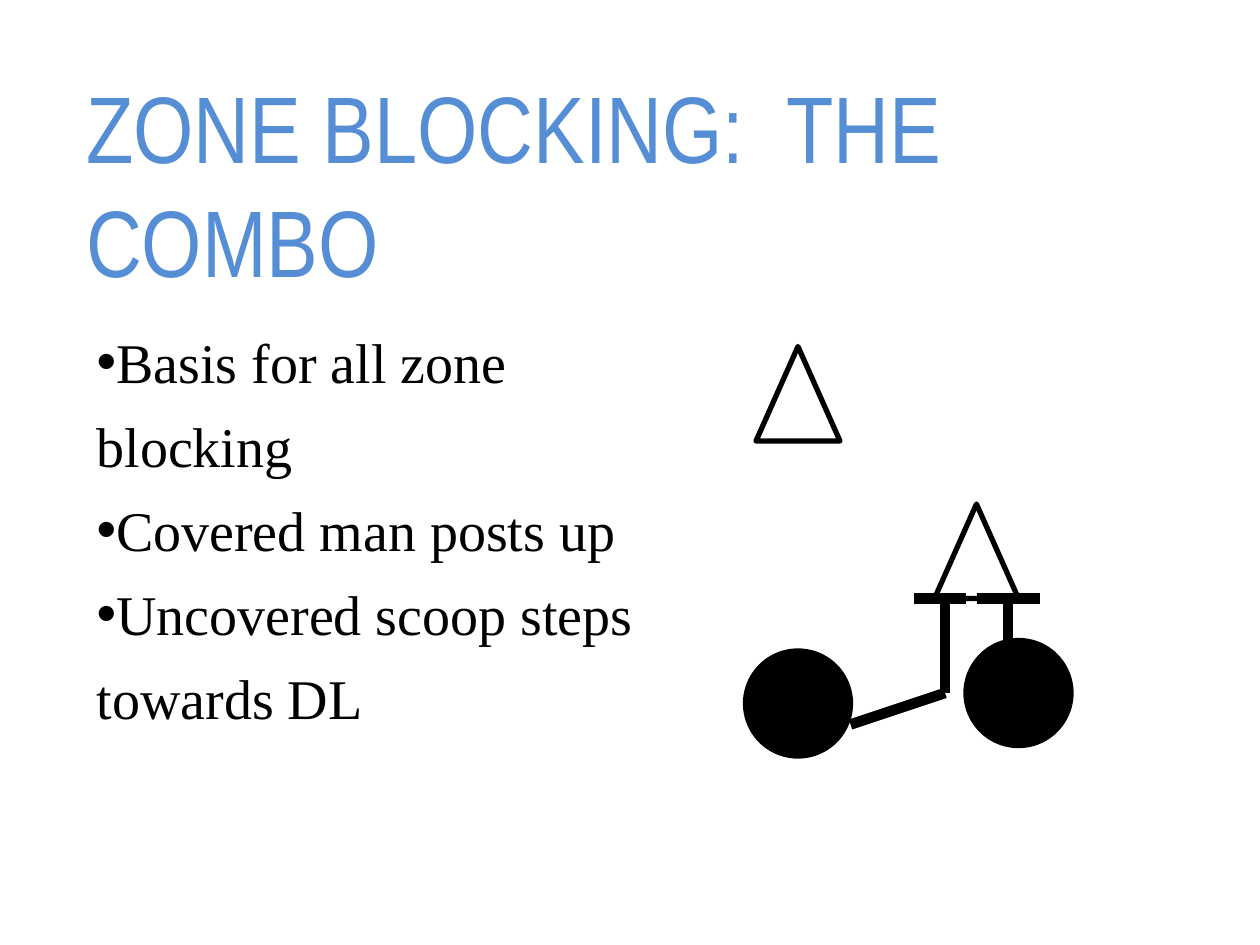
from lxml.etree import SubElement
from pptx import Presentation
from pptx.dml.color import RGBColor
from pptx.enum.shapes import MSO_CONNECTOR as CONN, MSO_SHAPE as SHAPE
from pptx.enum.text import MSO_ANCHOR as ANCHOR, MSO_AUTO_SIZE as AUTO, PP_ALIGN as ALIGN
from pptx.oxml.ns import qn
from pptx.util import Pt

TITLE = ["ZONE BLOCKING:  THE COMBO"]
POINTS = [
    "Basis for all zone blocking",
    "Covered man posts up",
    "Uncovered scoop steps towards DL",
]
BLACK, WHITE, BLUE = "000000", "FFFFFF", "558ED5"
BLOCKER_SIZE, DEFENDER_SIZE = (60, 60), (48, 54)
PLAYERS = [
    (SHAPE.OVAL, (426, 372), BLOCKER_SIZE, BLACK),
    (SHAPE.FLOWCHART_EXTRACT, (534, 288), DEFENDER_SIZE, WHITE),
    (SHAPE.OVAL, (552, 366), BLOCKER_SIZE, BLACK),
    (SHAPE.FLOWCHART_EXTRACT, (432, 198), DEFENDER_SIZE, WHITE),
]
BLOCKS = [
    ((486, 414), (540, 396)),
    ((540, 396), (540, 342)),
    ((522, 342), (552, 342)),
    ((576, 366), (576, 342)),
    ((558, 342), (594, 342)),
]


def rgb(value):
    return RGBColor.from_string(value)


def set_line(s, width):
    s.line.color.rgb = rgb(BLACK)
    s.line.width = Pt(width)


def write_text(s, lines, box, font, size, color, spacing=1.0, bullet=None):
    s.left, s.top, s.width, s.height = map(Pt, box)
    tf = s.text_frame
    tf.word_wrap = True
    tf.auto_size = AUTO.NONE
    tf.vertical_anchor = ANCHOR.TOP
    for i, line in enumerate(lines):
        p = tf.paragraphs[0] if i == 0 else tf.add_paragraph()
        p.alignment = ALIGN.LEFT
        p.line_spacing = spacing
        p.space_before = p.space_after = Pt(0)
        if bullet:
            pPr = p._p.get_or_add_pPr()
            pPr.set("marL", "0")
            pPr.set("indent", "0")
            SubElement(pPr, qn("a:buChar")).set("char", bullet)
        r = p.add_run()
        r.text = line
        r.font.name = font
        r.font.size = Pt(size)
        r.font.color.rgb = rgb(color)


def add_player(slide, kind, at, size, fill):
    s = slide.shapes.add_shape(kind, *map(Pt, at + size))
    s.shadow.inherit = False
    s.fill.solid()
    s.fill.fore_color.rgb = rgb(fill)
    set_line(s, 3)


def add_block(slide, start, end):
    s = slide.shapes.add_connector(CONN.STRAIGHT, *map(Pt, start + end))
    set_line(s, 6)
    SubElement(s._element.spPr, qn("a:effectLst"))


def main():
    prs = Presentation()
    prs.slide_width, prs.slide_height = Pt(720), Pt(540)
    slide = prs.slides.add_slide(prs.slide_layouts[1])
    for player in PLAYERS:
        add_player(slide, *player)
    for block in BLOCKS:
        add_block(slide, *block)
    title, body = slide.placeholders
    write_text(title, TITLE, (42, 36, 614, 73.5), "Arial Narrow", 54, BLUE)
    write_text(body, POINTS, (48, 174, 325, 247), "Times New Roman", 32, BLACK,
               spacing=1.25, bullet="•")
    prs.save("out.pptx")


if __name__ == "__main__":
    main()
